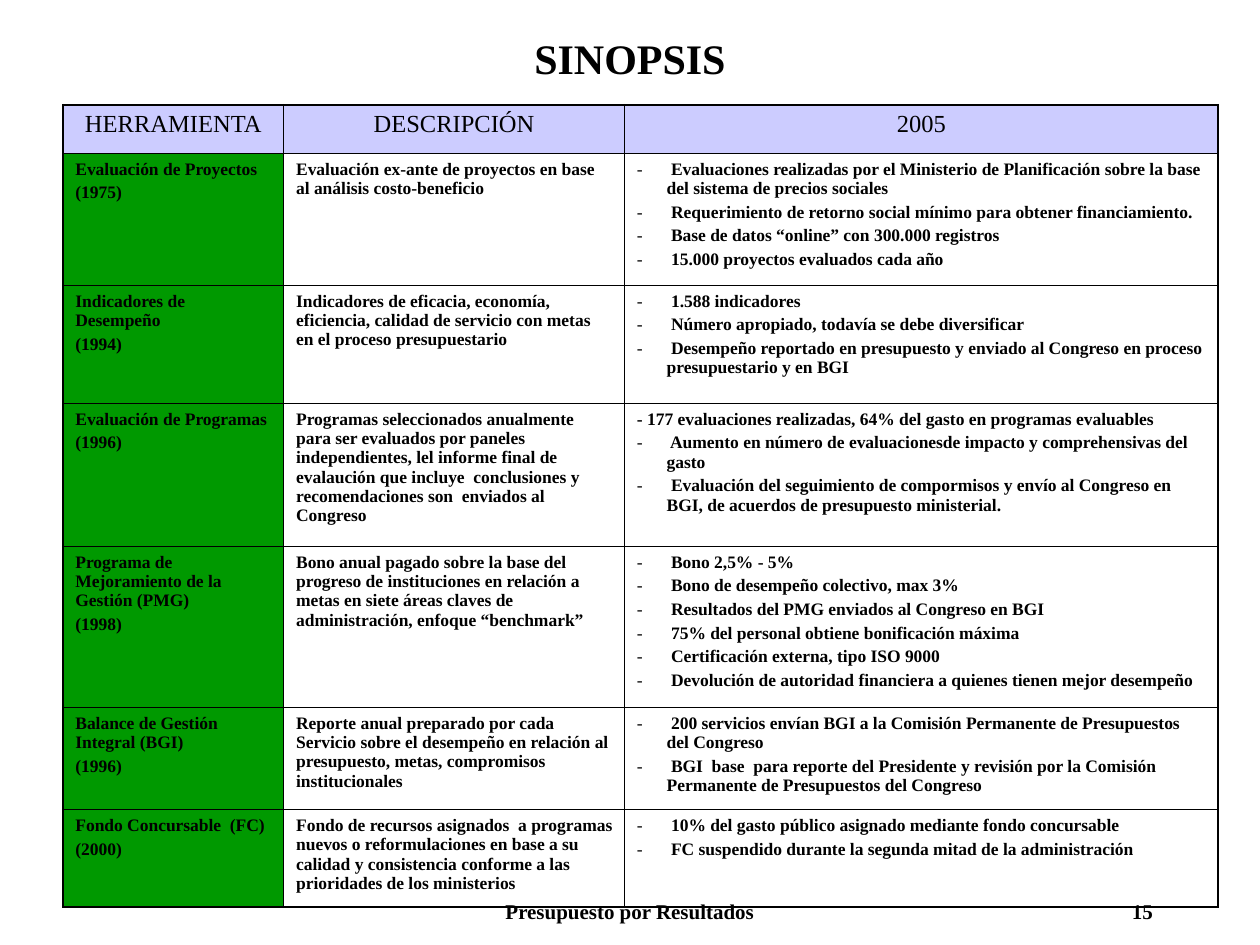
from dataclasses import dataclass

from lxml.etree import SubElement
from pptx import Presentation
from pptx.dml.color import RGBColor
from pptx.enum.text import MSO_ANCHOR as Anchor, PP_ALIGN as Align
from pptx.oxml import parse_xml
from pptx.oxml.ns import nsdecls, qn
from pptx.util import Cm, Pt


@dataclass(frozen=True)
class Theme:
    font: str = "Times New Roman"
    ink: str = "000000"
    header_fill: str = "CCCCFF"
    tool_fill: str = "009900"
    body_fill: str = "FFFFFF"
    title_size: float = 24
    header_size: float = 14
    footer_size: float = 12
    body_size: float = 10
    header_space: float = 3.5
    body_space: float = 2.5
    outer_border: float = 1.08
    inner_border: float = 0.45


@dataclass(frozen=True)
class Tool:
    name: str
    year: str
    description: str
    results: tuple[str, ...]
    height: float


THEME = Theme()
HEADERS = ("HERRAMIENTA", "DESCRIPCIÓN", "2005")
HEADER_HEIGHT = 0.98
COLUMN_WIDTHS = (4.45, 6.87, 11.97)
TABLE_LEFT, TABLE_TOP = 1.27, 2.11
BULLET_INDENT = Cm(0.6)

# Results that start with a space carry a dash bullet.
TOOLS = (
    Tool("Evaluación de Proyectos", "(1975)",
         "Evaluación ex-ante de proyectos en base al análisis costo-beneficio",
         (" Evaluaciones realizadas por el Ministerio de Planificación sobre la base "
          "del sistema de precios sociales",
          " Requerimiento de retorno social mínimo para obtener financiamiento.",
          " Base de datos “online” con 300.000 registros",
          " 15.000 proyectos evaluados cada año"), 2.66),
    Tool("Indicadores de Desempeño", "(1994)",
         "Indicadores de eficacia, economía, eficiencia, calidad de servicio con metas "
         "en el proceso presupuestario",
         (" 1.588 indicadores",
          " Número apropiado, todavía se debe diversificar",
          " Desempeño reportado en presupuesto y enviado al Congreso en proceso "
          "presupuestario y en BGI"), 2.38),
    Tool("Evaluación de Programas", "(1996)",
         "Programas seleccionados anualmente para ser evaluados por paneles "
         "independientes, lel informe final de evalaución que incluye  conclusiones y "
         "recomendaciones son  enviados al Congreso",
         ("- 177 evaluaciones realizadas, 64% del gasto en programas evaluables",
          " Aumento en número de evaluacionesde impacto y comprehensivas del gasto",
          " Evaluación del seguimiento de compormisos y envío al Congreso en BGI, "
          "de acuerdos de presupuesto ministerial."), 2.88),
    Tool("Programa de Mejoramiento de la Gestión (PMG)", "(1998)",
         "Bono anual pagado sobre la base del progreso de instituciones en relación a "
         "metas en siete áreas claves de administración, enfoque “benchmark”",
         (" Bono 2,5% - 5%",
          " Bono de desempeño colectivo, max 3%",
          " Resultados del PMG enviados al Congreso en BGI",
          " 75% del personal obtiene bonificación máxima",
          " Certificación externa, tipo ISO 9000",
          " Devolución de autoridad financiera a quienes tienen mejor desempeño"), 3.25),
    Tool("Balance de Gestión Integral (BGI)", "(1996)",
         "Reporte anual preparado por cada Servicio sobre el desempeño en relación al "
         "presupuesto, metas, compromisos institucionales",
         (" 200 servicios envían BGI a la Comisión Permanente de Presupuestos del Congreso",
          " BGI  base  para reporte del Presidente y revisión por la Comisión Permanente "
          "de Presupuestos del Congreso"), 2.06),
    Tool("Fondo Concursable  (FC)", "(2000)",
         "Fondo de recursos asignados  a programas nuevos o reformulaciones en base a su "
         "calidad y consistencia conforme a las prioridades de los ministerios",
         (" 10% del gasto público asignado mediante fondo concursable",
          " FC suspendido durante la segunda mitad de la administración"), 1.96),
)


def format_text(frame, size: float, bold: bool, align: Align, space: float = 0) -> None:
    for paragraph in frame.paragraphs:
        paragraph.alignment = align
        paragraph.space_before = Pt(space)
        for run in paragraph.runs:
            run.font.name = THEME.font
            run.font.size = Pt(size)
            run.font.bold = bold
            run.font.color.rgb = RGBColor.from_string(THEME.ink)


def add_dash(paragraph) -> None:
    properties = paragraph._p.get_or_add_pPr()
    properties.set("marL", str(BULLET_INDENT))
    properties.set("indent", str(-BULLET_INDENT))
    color = SubElement(properties, qn("a:buClr"))
    SubElement(color, qn("a:srgbClr"), val=THEME.ink)
    SubElement(properties, qn("a:buFont"), typeface=THEME.font)
    SubElement(properties, qn("a:buChar"), char="-")


def set_borders(cell, outer_sides: set[str]) -> None:
    """Draw all four sides, heavier where the cell meets the table's edge."""
    for position, side in enumerate("LRTB"):
        width = THEME.outer_border if side in outer_sides else THEME.inner_border
        border = parse_xml(
            f'<a:ln{side} {nsdecls("a")} w="{Pt(width)}"><a:solidFill>'
            f'<a:srgbClr val="{THEME.ink}"/></a:solidFill></a:ln{side}>')
        cell._tc.get_or_add_tcPr().insert(position, border)


def fill_cell(cell, lines: tuple[str, ...], fill: str, is_header: bool) -> None:
    cell.text_frame.text = "\n".join(lines)
    cell.margin_left = cell.margin_right = Cm(0.25)
    cell.margin_top = cell.margin_bottom = Cm(0.13)
    cell.fill.solid()
    cell.fill.fore_color.rgb = RGBColor.from_string(fill)
    if is_header:
        format_text(cell.text_frame, THEME.header_size, False, Align.CENTER,
                    THEME.header_space)
    else:
        format_text(cell.text_frame, THEME.body_size, True, Align.LEFT, THEME.body_space)
    for paragraph in cell.text_frame.paragraphs:
        if paragraph.text.startswith(" "):
            add_dash(paragraph)


def add_title(slide, text: str) -> None:
    title = slide.shapes.title
    title.left, title.top, title.width, title.height = Cm(1.9), Cm(0.43), Cm(21.6), Cm(1.47)
    title.text_frame.text = text
    title.text_frame.vertical_anchor = Anchor.MIDDLE
    format_text(title.text_frame, THEME.title_size, True, Align.CENTER)


def add_tools_table(slide) -> None:
    heights = (HEADER_HEIGHT, *(tool.height for tool in TOOLS))
    table = slide.shapes.add_table(
        len(heights), len(COLUMN_WIDTHS), Cm(TABLE_LEFT), Cm(TABLE_TOP),
        Cm(sum(COLUMN_WIDTHS)), Cm(sum(heights))).table
    table.first_row = table.horz_banding = False
    for column, width in zip(table.columns, COLUMN_WIDTHS):
        column.width = Cm(width)
    contents = [[(header,) for header in HEADERS]]
    contents += [[(tool.name, tool.year), (tool.description,), tool.results]
                 for tool in TOOLS]
    body_fills = (THEME.tool_fill, THEME.body_fill, THEME.body_fill)
    for r, (height, row) in enumerate(zip(heights, contents)):
        table.rows[r].height = Cm(height)
        for c, lines in enumerate(row):
            cell = table.cell(r, c)
            fill_cell(cell, lines, body_fills[c] if r else THEME.header_fill, r == 0)
            edges = {"L": c == 0, "R": c == len(row) - 1,
                     "T": r == 0, "B": r == len(heights) - 1}
            set_borders(cell, {side for side, is_outer in edges.items() if is_outer})


def add_footer(slide, text: str, left: float, width: float, align: Align) -> None:
    footer = slide.shapes.add_textbox(Cm(left), Cm(17.98), Cm(width), Cm(0.64))
    footer.text_frame.word_wrap = True
    footer.text_frame.text = text
    format_text(footer.text_frame, THEME.footer_size, True, align)


def main() -> None:
    deck = Presentation()
    deck.slide_width, deck.slide_height = Cm(25.4), Cm(19.05)
    slide = deck.slides.add_slide(deck.slide_layouts[5])
    add_title(slide, "SINOPSIS")
    add_tools_table(slide)
    add_footer(slide, "Presupuesto por Resultados", 8.68, 8.04, Align.CENTER)
    add_footer(slide, "15", 18.2, 5.29, Align.RIGHT)
    deck.save("out.pptx")


if __name__ == "__main__":
    main()
